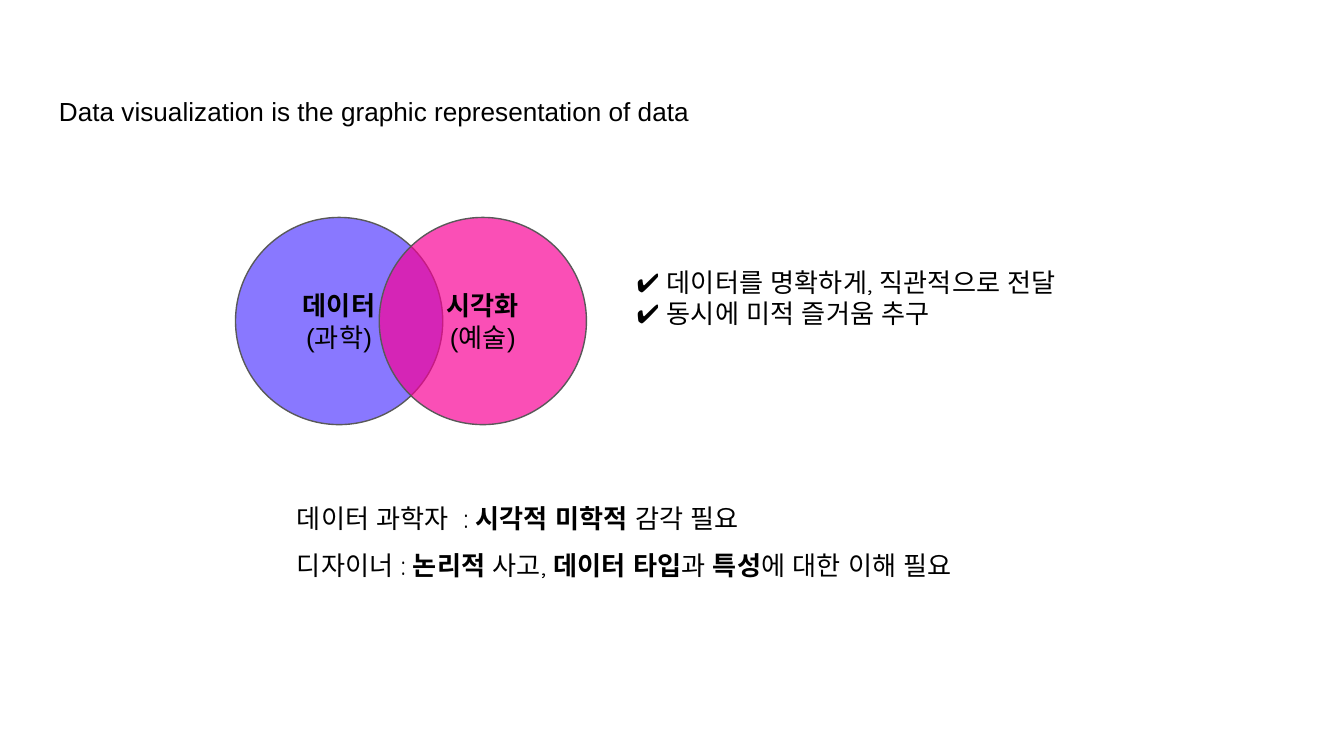
from lxml.etree import SubElement
from pptx import Presentation
from pptx.dml.color import RGBColor
from pptx.enum.shapes import MSO_SHAPE
from pptx.enum.text import MSO_ANCHOR, PP_ALIGN
from pptx.oxml.ns import qn
from pptx.util import Pt

BLACK = RGBColor(0x00, 0x00, 0x00)
GRAY = RGBColor(0x59, 0x59, 0x59)
BLUE = RGBColor(0x25, 0x07, 0xFF)
PINK = RGBColor(0xF8, 0x00, 0x96)
INSET = Pt(7.2)


def write(shape, paragraphs, align=PP_ALIGN.LEFT, anchor=MSO_ANCHOR.TOP, spacing=1.0):
    """Fill a shape with paragraphs, each a list of (text, font, bold) runs."""
    frame = shape.text_frame
    frame.word_wrap = True
    frame.vertical_anchor = anchor
    frame.margin_left = frame.margin_right = INSET
    frame.margin_top = frame.margin_bottom = INSET
    for i, runs in enumerate(paragraphs):
        paragraph = frame.add_paragraph() if i else frame.paragraphs[0]
        paragraph.alignment = align
        paragraph.line_spacing = spacing
        for text, typeface, bold in runs:
            run = paragraph.add_run()
            run.text = text
            run.font.size = Pt(14)
            run.font.bold = bold
            run.font.color.rgb = BLACK
            run.font.name = typeface
            # Korean letters take their font from the East Asian slot
            SubElement(run.font._element, qn("a:ea")).set("typeface", typeface)


prs = Presentation()
prs.slide_width, prs.slide_height = Pt(720), Pt(405)
slide = prs.slides.add_slide(prs.slide_layouts[6])
shapes = slide.shapes

# Overlapping circles: data (science) and visualization (art)
for left, color, opacity, field, nature in (
    (126.2, BLUE, 54, "데이터", "(과학)"),
    (203.2, PINK, 69, "시각화", "(예술)"),
):
    circle = shapes.add_shape(MSO_SHAPE.OVAL, Pt(left), Pt(116.5), Pt(111), Pt(111))
    circle.shadow.inherit = False
    circle.fill.solid()
    circle.fill.fore_color.rgb = color
    color_element = circle.fill._xPr.find(qn("a:solidFill"))[0]
    SubElement(color_element, qn("a:alpha")).set("val", str(opacity * 1000))
    circle.line.color.rgb = GRAY
    circle.line.width = Pt(0.75)
    write(circle, [[(field, "Arial", True)], [(nature, "Arial", False)]],
          align=PP_ALIGN.CENTER, anchor=MSO_ANCHOR.MIDDLE)

# What each role needs, as (text, bold)
needs = [
    [("데이터 과학자  : ", False), ("시각적 미학적", True), (" 감각 필요", False)],
    [("디자이너 : ", False), ("논리적", True), (" 사고, ", False),
     ("데이터 타입", True), ("과 ", False), ("특성", True),
     ("에 대한 이해 필요", False)],
]
roles = shapes.add_textbox(Pt(152), Pt(253.5), Pt(671), Pt(269))
write(roles, [[(text, "Quicksand", bold) for text, bold in line] for line in needs],
      spacing=1.5)

goals = shapes.add_textbox(Pt(334), Pt(135.5), Pt(344), Pt(236))
write(goals, [[("✔ ", "Arial", False), (goal, "Quicksand", False)]
              for goal in ("데이터를 명확하게, 직관적으로 전달", "동시에 미적 즐거움 추구")])

title = shapes.add_textbox(Pt(24.5), Pt(35.5), Pt(671), Pt(45))
write(title, [[("Data visualization is the graphic representation of data", "Arial", False)]],
      spacing=1.5)

prs.save("out.pptx")
